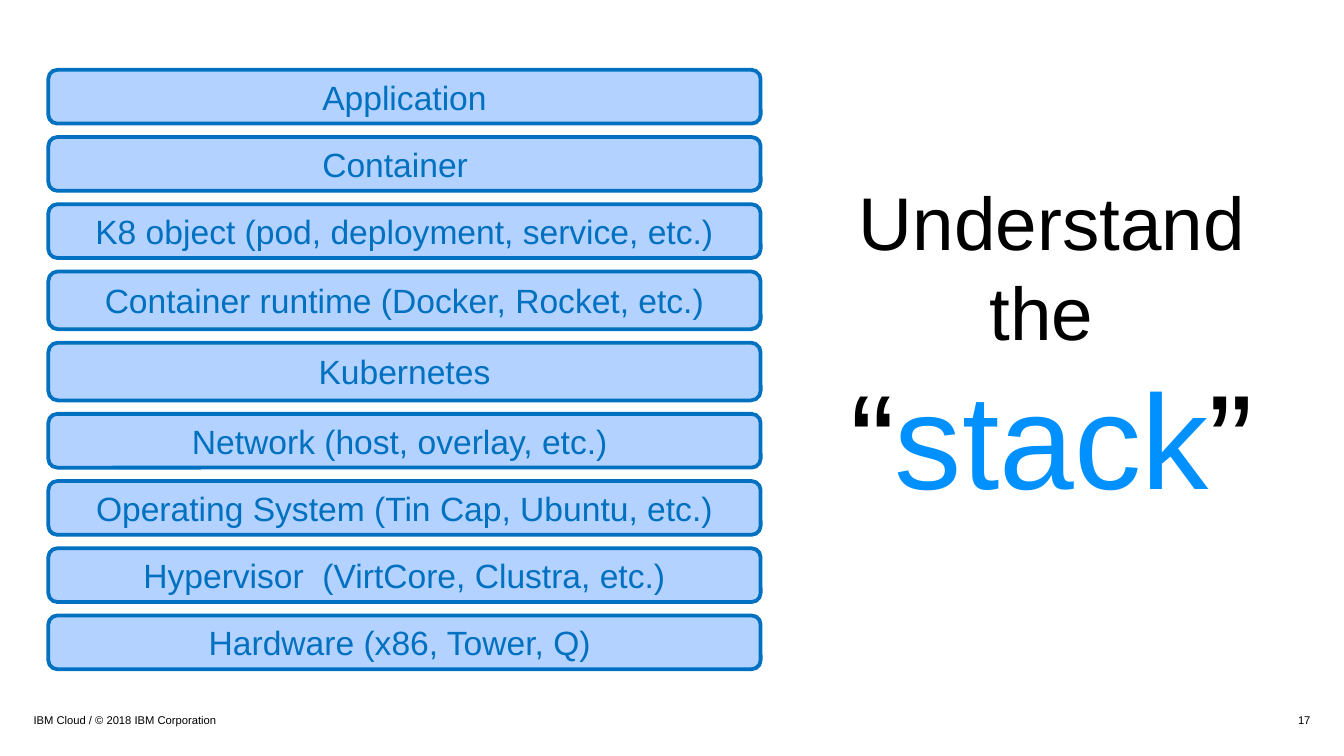
from lxml.etree import SubElement
from pptx import Presentation
from pptx.dml.color import RGBColor
from pptx.enum.shapes import MSO_SHAPE
from pptx.enum.text import MSO_ANCHOR, PP_ALIGN
from pptx.oxml.ns import qn
from pptx.util import Inches, Pt

BLACK = RGBColor(0x00, 0x00, 0x00)
LAYER_BLUE = RGBColor(0x69, 0xA6, 0xFF)
BORDER_BLUE = RGBColor(0x00, 0x70, 0xC0)
ACCENT_BLUE = RGBColor(0x00, 0x91, 0xFF)

COLUMNS = 100
LAYER_GAP = 1
LAYERS = [
    ("Application", 4),
    ("Container  ", 4),
    ("K8 object (pod, deployment, service, etc.)", 4),
    ("Container runtime (Docker, Rocket, etc.)", 4.3),
    ("Kubernetes", 4.3),
    ("Network (host, overlay, etc.) ", 4),
    ("Operating System (Tin Cap, Ubuntu, etc.)", 4),
    ("Hypervisor  (VirtCore, Clustra, etc.)", 4),
    ("Hardware (x86, Tower, Q) ", 4),
]


class StackSlide:
    font_name = "Arial"

    def __init__(self, presentation):
        self.cell = presentation.slide_width / COLUMNS
        self.slide = presentation.slides.add_slide(presentation.slide_layouts[6])

    def place(self, *grid_lengths):
        return [round(length * self.cell) for length in grid_lengths]

    def style(self, paragraph, size, color, alignment):
        paragraph.alignment = alignment
        paragraph.font.name = self.font_name
        paragraph.font.size = Pt(size)
        paragraph.font.color.rgb = color

    def text_box(self, column, row, width, height, anchor):
        box = self.slide.shapes.add_textbox(*self.place(column, row, width, height))
        frame = box.text_frame
        frame.word_wrap = True
        frame.vertical_anchor = anchor
        frame.margin_left = frame.margin_right = 0
        frame.margin_top = frame.margin_bottom = 0
        return frame

    def footer(self, text, column, width, alignment):
        frame = self.text_box(column, 52.8, width, 1.5, MSO_ANCHOR.MIDDLE)
        paragraph = frame.paragraphs[0]
        paragraph.text = text
        self.style(paragraph, 6, BLACK, alignment)

    def layer(self, text, row, height):
        shape = self.slide.shapes.add_shape(
            MSO_SHAPE.ROUNDED_RECTANGLE, *self.place(3.6, row, 53, height)
        )
        shape.shadow.inherit = False
        shape.fill.solid()
        shape.fill.fore_color.rgb = LAYER_BLUE
        color = shape.element.spPr.find(qn("a:solidFill"))[0]
        SubElement(color, qn("a:alpha"), val="50000")
        shape.line.color.rgb = BORDER_BLUE
        shape.line.width = Pt(2)
        frame = shape.text_frame
        frame.vertical_anchor = MSO_ANCHOR.MIDDLE
        paragraph = frame.paragraphs[0]
        paragraph.text = text
        self.style(paragraph, 18, BORDER_BLUE, PP_ALIGN.CENTER)

    def headline(self, opening, keyword):
        frame = self.text_box(60, 13.1, 36.5, 30, MSO_ANCHOR.TOP)
        first = frame.paragraphs[0]
        first.text = opening
        second = frame.add_paragraph()
        for text in ("“", keyword, "”"):
            run = second.add_run()
            run.text = text
            if text == keyword:
                run.font.color.rgb = ACCENT_BLUE
        self.style(first, 40, BLACK, PP_ALIGN.CENTER)
        self.style(second, 72, BLACK, PP_ALIGN.CENTER)


def main():
    presentation = Presentation()
    presentation.slide_width = Inches(10)
    presentation.slide_height = presentation.slide_width * 9 // 16

    stack = StackSlide(presentation)
    row = 5.2
    for text, height in LAYERS:
        stack.layer(text, row, height)
        row += height + LAYER_GAP
    stack.headline("Understand the ", "stack")
    stack.footer("IBM Cloud / © 2018 IBM Corporation", 2.5, 70, PP_ALIGN.LEFT)
    stack.footer("17", 75, 22.5, PP_ALIGN.RIGHT)

    presentation.save("out.pptx")


if __name__ == "__main__":
    main()
